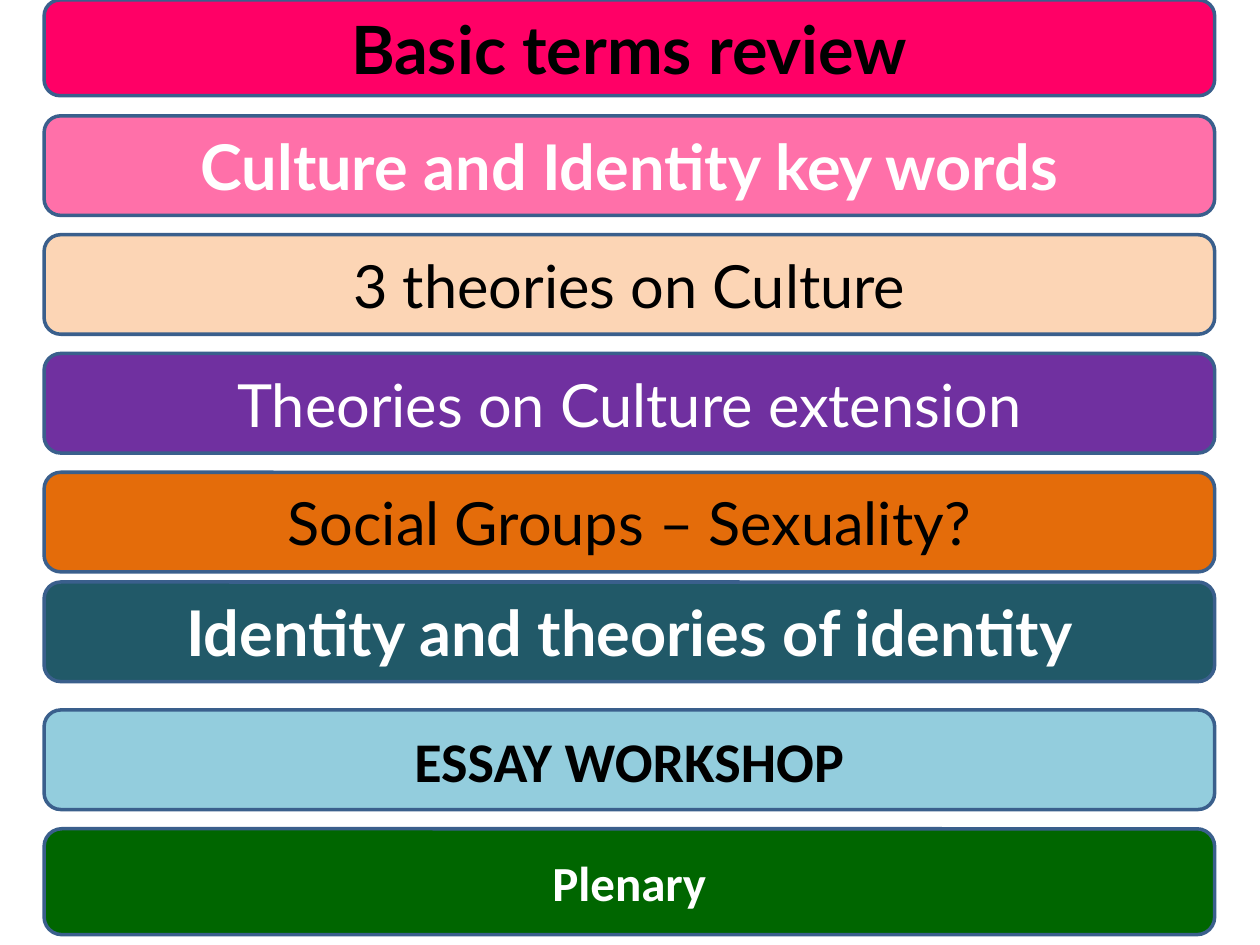
from lxml.etree import SubElement
from pptx import Presentation
from pptx.dml.color import RGBColor
from pptx.enum.shapes import MSO_SHAPE
from pptx.enum.text import MSO_ANCHOR, PP_ALIGN
from pptx.oxml.ns import qn
from pptx.util import Pt

BLACK = RGBColor(0x00, 0x00, 0x00)
WHITE = RGBColor(0xFF, 0xFF, 0xFF)
OUTLINE = RGBColor(0x3A, 0x5F, 0x8C)
PINK = RGBColor(0xFF, 0x00, 0x66)
PEACH = RGBColor(0xFC, 0xD5, 0xB5)
PURPLE = RGBColor(0x70, 0x30, 0xA0)
ORANGE = RGBColor(0xE4, 0x6C, 0x0A)
TEAL = RGBColor(0x21, 0x59, 0x68)
LIGHT_BLUE = RGBColor(0x93, 0xCD, 0xDD)
GREEN = RGBColor(0x00, 0x66, 0x00)

BAR_LEFT, BAR_WIDTH, BAR_HEIGHT = 25.2, 668.9, 56.9
FIRST_TOP, ROW_PITCH = 66.2, 67.9


def row_top(row):
    return FIRST_TOP + row * ROW_PITCH


class AgendaSlide:
    def __init__(self, slide):
        self.slide = slide

    def bar(self, text, top, fill, color, size, bold=False, font="Lato",
            height=BAR_HEIGHT, opacity=100):
        shape = self.slide.shapes.add_shape(
            MSO_SHAPE.ROUNDED_RECTANGLE,
            Pt(BAR_LEFT), Pt(top), Pt(BAR_WIDTH), Pt(height))
        shape.shadow.inherit = False
        shape.fill.solid()
        shape.fill.fore_color.rgb = fill
        if opacity < 100:
            self.set_opacity(shape, opacity)
        shape.line.color.rgb = OUTLINE
        shape.line.width = Pt(2)

        text_frame = shape.text_frame
        text_frame.word_wrap = True
        text_frame.vertical_anchor = MSO_ANCHOR.MIDDLE
        text_frame.text = text
        paragraph = text_frame.paragraphs[0]
        paragraph.alignment = PP_ALIGN.CENTER
        for run in paragraph.runs:
            run.font.name = font
            run.font.size = Pt(size)
            run.font.bold = bold
            run.font.color.rgb = color

    def set_opacity(self, shape, percent):
        fill_color = shape._element.spPr.find(qn("a:solidFill"))[0]
        SubElement(fill_color, qn("a:alpha"), val=str(percent * 1000))


def main():
    presentation = Presentation()
    presentation.slide_width = Pt(720)
    presentation.slide_height = Pt(540)
    agenda = AgendaSlide(
        presentation.slides.add_slide(presentation.slide_layouts[6]))

    agenda.bar("Basic terms review", 0, PINK, BLACK, 38, bold=True, height=54.7)
    agenda.bar("Culture and Identity key words", row_top(0), PINK, WHITE, 36,
               bold=True, opacity=56)
    agenda.bar("3 theories on Culture", row_top(1), PEACH, BLACK, 34)
    agenda.bar("Theories on Culture extension", row_top(2), PURPLE, WHITE, 34)
    agenda.bar("Social Groups – Sexuality?", row_top(3), ORANGE, BLACK, 34)
    agenda.bar("Identity and theories of identity", row_top(4) - 5.2, TEAL,
               WHITE, 36, bold=True)
    agenda.bar("ESSAY WORKSHOP", row_top(5), LIGHT_BLUE, BLACK, 32, bold=True,
               font="Calibri")
    agenda.bar("Plenary", row_top(6), GREEN, WHITE, 28, bold=True,
               font="Calibri", height=60.5)

    presentation.save("out.pptx")


if __name__ == "__main__":
    main()
